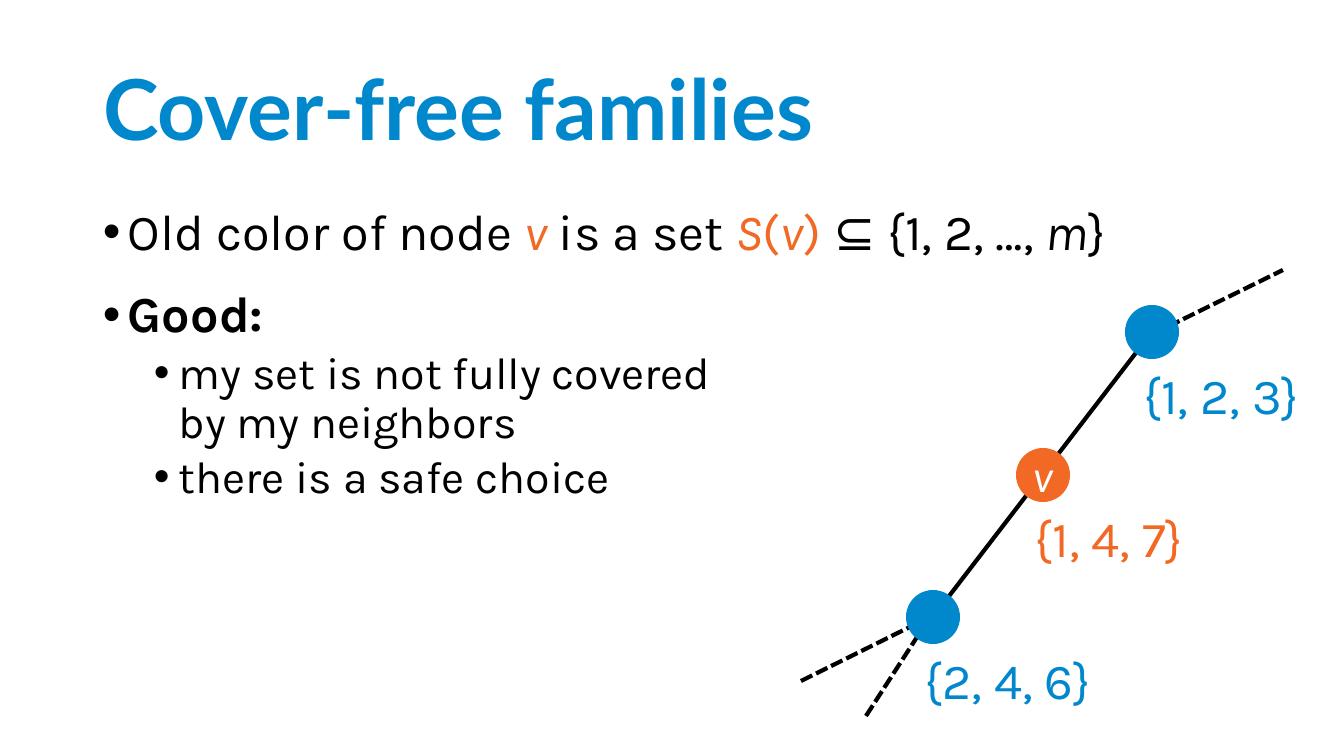
"""Build the slide on cover-free families."""
from lxml import etree
from pptx import Presentation
from pptx import util as u
from pptx.dml.color import RGBColor
from pptx.enum import dml, shapes, text
from pptx.oxml.ns import qn

THEME = {
    "blue": RGBColor(0x00, 0x87, 0xCC),
    "orange": RGBColor(0xF1, 0x69, 0x24),
    "black": RGBColor(0, 0, 0),
    "white": RGBColor(255, 255, 255),
    "heading": "Lato",
    "body": "Karla",
    "title_size": 60,
    "main_size": 36,
    "sub_size": 32,
    "line": 3,
}
PX = u.Inches(1) / 100.8

TITLE = "Cover-free families"
ORANGE_ITALIC = {"color": "orange", "italic": True}
BULLETS = [
    (0, [("Old color of node ", {}), ("v", ORANGE_ITALIC), (" is a set ", {}),
         ("S", ORANGE_ITALIC), ("(", {"color": "orange"}), ("v", ORANGE_ITALIC),
         (")", {"color": "orange"}), (" ⊆ {1, 2, …, ", {}),
         ("m", {"italic": True}), ("}", {})]),
    (0, [("Good:", {"bold": True})]),
    (1, [("my set is not fully covered\nby my neighbors", {})]),
    (1, [("there is a safe choice", {})]),
]
LEVELS = [
    {"size": "main_size", "before": 20, "indent": 25},
    {"size": "sub_size", "before": 5, "indent": 76},
]
HANGING = 25

NODES = [
    {"center": (933, 617), "color": "blue", "name": "", "set": "{2, 4, 6}", "width": 204},
    {"center": (1043, 475), "color": "orange", "name": "v", "set": "{1, 4, 7}", "width": 196},
    {"center": (1152, 332), "color": "blue", "name": "", "set": "{1, 2, 3}", "width": 190},
]
DIAMETER = 54
LABEL_OFFSET = (-18, 27)
LABEL_HEIGHT = 72
EDGES = [
    ((933, 617), (1152, 332), None),
    ((801, 681), (930, 617), dml.MSO_LINE.SQUARE_DOT),
    ((866, 716), (930, 617), dml.MSO_LINE.SQUARE_DOT),
    ((1153, 334), (1283, 270), dml.MSO_LINE.SQUARE_DOT),
]


def emu(*lengths):
    """Turn px lengths into EMU."""
    return [round(length * PX) for length in lengths]


def apply(target, values):
    """Set each attribute in values on target."""
    for name, value in values.items():
        setattr(target, name, value)


def add_run(paragraph, words, size, color="black", font="body", bold=False, italic=False):
    """Add formatted words, with a line break at each newline."""
    for index, line in enumerate(words.split("\n")):
        if index:
            paragraph.add_line_break()
        run = paragraph.add_run()
        run.text = line
        apply(run.font, {"name": THEME[font], "size": u.Pt(THEME[size]),
                         "bold": bold, "italic": italic})
        run.font.color.rgb = THEME[color]


def add_title(slide):
    """Place and format the title."""
    title = slide.shapes.title
    apply(title, dict(zip(("left", "top", "width", "height"), emu(93, 40, 1159, 146))))
    apply(title.text_frame, {"vertical_anchor": text.MSO_ANCHOR.MIDDLE, "word_wrap": True})
    paragraph = title.text_frame.paragraphs[0]
    apply(paragraph, {"alignment": text.PP_ALIGN.LEFT, "line_spacing": 0.9})
    add_run(paragraph, TITLE, "title_size", "blue", "heading", bold=True)


def add_bullets(slide):
    """Add the bulleted text."""
    frame = slide.shapes.add_textbox(*emu(93, 202, 1159, 480)).text_frame
    frame.word_wrap = True
    for index, (level, runs) in enumerate(BULLETS):
        paragraph = frame.add_paragraph() if index else frame.paragraphs[0]
        style = LEVELS[level]
        apply(paragraph, {"level": level, "line_spacing": 0.9,
                          "space_before": u.Pt(style["before"])})
        properties = paragraph._p.get_or_add_pPr()
        margin, hanging = emu(style["indent"], HANGING)
        properties.set("marL", str(margin))
        properties.set("indent", str(-hanging))
        etree.SubElement(properties, qn("a:buFont")).set("typeface", "Arial")
        etree.SubElement(properties, qn("a:buChar")).set("char", "•")
        for words, look in runs:
            add_run(paragraph, words, style["size"], **look)


def add_edge(slide, start, end, dash):
    """Add a line between two points."""
    edge = slide.shapes.add_connector(shapes.MSO_CONNECTOR.STRAIGHT, *emu(*start, *end))
    apply(edge.line, {"width": u.Pt(THEME["line"]), "dash_style": dash})
    edge.line.color.rgb = THEME["black"]
    etree.SubElement(edge._element.spPr, qn("a:effectLst"))


def add_node(slide, node):
    """Add a node and the set beside it."""
    x, y = node["center"]
    radius = DIAMETER / 2
    circle = slide.shapes.add_shape(
        shapes.MSO_SHAPE.OVAL, *emu(x - radius, y - radius, DIAMETER, DIAMETER))
    circle.shadow.inherit = False
    circle.fill.solid()
    circle.fill.fore_color.rgb = THEME[node["color"]]
    circle.line.fill.background()
    if node["name"]:
        apply(circle.text_frame, {"margin_left": 0, "margin_right": 0, "margin_top": 0,
                                  "margin_bottom": 0, "word_wrap": False,
                                  "vertical_anchor": text.MSO_ANCHOR.MIDDLE})
        paragraph = circle.text_frame.paragraphs[0]
        paragraph.alignment = text.PP_ALIGN.CENTER
        add_run(paragraph, node["name"], "sub_size", "white", italic=True)

    dx, dy = LABEL_OFFSET
    label = slide.shapes.add_textbox(*emu(x + dx, y + dy, node["width"], LABEL_HEIGHT))
    label.text_frame.word_wrap = False
    add_run(label.text_frame.paragraphs[0], node["set"], "main_size", node["color"])


def main():
    """Build and save the presentation."""
    presentation = Presentation()
    presentation.slide_width, presentation.slide_height = emu(1344, 756)
    slide = presentation.slides.add_slide(presentation.slide_layouts.get_by_name("Title Only"))
    add_title(slide)
    add_bullets(slide)
    for edge in EDGES:
        add_edge(slide, *edge)
    for node in NODES:
        add_node(slide, node)
    presentation.save("out.pptx")


if __name__ == "__main__":
    main()
